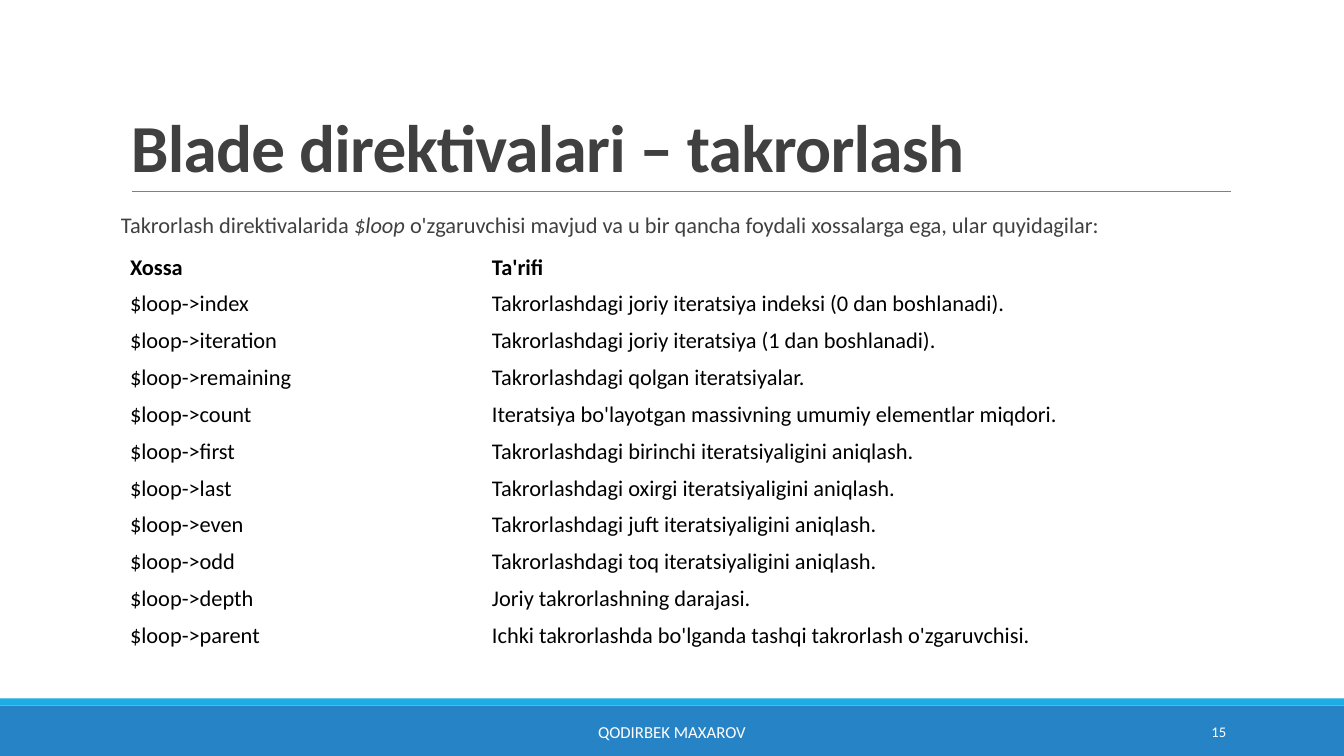
from lxml.etree import SubElement
from pptx import Presentation
from pptx.dml.color import RGBColor
from pptx.enum.shapes import MSO_CONNECTOR, MSO_SHAPE
from pptx.enum.text import MSO_ANCHOR, PP_ALIGN
from pptx.oxml.ns import qn
from pptx.util import Inches, Pt

BLUE = RGBColor(0x26, 0x83, 0xC6)
CYAN = RGBColor(0x1C, 0xAD, 0xE4)
GRAY = RGBColor(0x80, 0x80, 0x80)
DARK = RGBColor(0x40, 0x40, 0x40)
BLACK = RGBColor(0, 0, 0)
WHITE = RGBColor(0xFF, 0xFF, 0xFF)
FONT = "Calibri"

LOOP_PROPERTIES = [
    ("Xossa", "Ta'rifi"),
    ("$loop->index", "Takrorlashdagi joriy iteratsiya indeksi (0 dan boshlanadi)."),
    ("$loop->iteration", "Takrorlashdagi joriy iteratsiya (1 dan boshlanadi)."),
    ("$loop->remaining", "Takrorlashdagi qolgan iteratsiyalar."),
    ("$loop->count", "Iteratsiya bo'layotgan massivning umumiy elementlar miqdori."),
    ("$loop->first", "Takrorlashdagi birinchi iteratsiyaligini aniqlash."),
    ("$loop->last", "Takrorlashdagi oxirgi iteratsiyaligini aniqlash."),
    ("$loop->even", "Takrorlashdagi juft iteratsiyaligini aniqlash."),
    ("$loop->odd", "Takrorlashdagi toq iteratsiyaligini aniqlash."),
    ("$loop->depth", "Joriy takrorlashning darajasi."),
    ("$loop->parent", "Ichki takrorlashda bo'lganda tashqi takrorlash o'zgaruvchisi."),
]


def add_span(para, text, size=16, color=BLACK, bold=False, italic=False, tracking=None):
    span = para.add_run()
    span.text = text
    span.font.name = FONT
    span.font.size = Pt(size)
    span.font.bold = bold
    span.font.italic = italic
    span.font.color.rgb = color
    if tracking is not None:
        span.font._element.set("spc", str(int(tracking * 100)))


class SlideBuilder:
    def __init__(self, slide):
        self.slide = slide

    def band(self, top, height, color):
        band = self.slide.shapes.add_shape(
            MSO_SHAPE.RECTANGLE, 0, Inches(top), Inches(13.33), Inches(height))
        band.shadow.inherit = False
        band.fill.solid()
        band.fill.fore_color.rgb = color
        band.line.fill.background()

    def rule(self, left, right, top):
        rule = self.slide.shapes.add_connector(
            MSO_CONNECTOR.STRAIGHT, Inches(left), Inches(top), Inches(right), Inches(top))
        rule.line.color.rgb = GRAY
        rule.line.width = Pt(0.5)
        SubElement(rule._element.spPr, qn("a:effectLst"))

    def text(self, left, top, width, height, anchor=MSO_ANCHOR.MIDDLE,
             align=PP_ALIGN.LEFT, inset=0.1):
        box = self.slide.shapes.add_textbox(
            Inches(left), Inches(top), Inches(width), Inches(height))
        frame = box.text_frame
        frame.word_wrap = True
        frame.vertical_anchor = anchor
        frame.margin_left = frame.margin_right = Inches(inset)
        para = frame.paragraphs[0]
        para.alignment = align
        return para

    def table(self, left, top, widths, height, rows):
        frame = self.slide.shapes.add_table(
            len(rows), len(widths), Inches(left), Inches(top),
            Inches(sum(widths)), Inches(height))
        table = frame.table
        table.horz_banding = False
        for column, width in zip(table.columns, widths):
            column.width = Inches(width)
        for row_index, row in enumerate(rows):
            for column_index, text in enumerate(row):
                cell = table.cell(row_index, column_index)
                cell.fill.background()
                cell.vertical_anchor = MSO_ANCHOR.MIDDLE
                cell.margin_left = cell.margin_right = Inches(0.09)
                cell.margin_top = cell.margin_bottom = Inches(0.04)
                add_span(cell.text_frame.paragraphs[0], text, bold=row_index == 0)
        style = table._tbl.tblPr.find(qn("a:tableStyleId"))
        style.text = "{2D5ABB26-0587-4C30-8999-92F81FD0307C}"


def main():
    deck = Presentation()
    deck.slide_width = Inches(13.33)
    deck.slide_height = Inches(7.5)
    page = SlideBuilder(deck.slides.add_slide(deck.slide_layouts[6]))

    page.band(7, 0.5, BLUE)
    page.band(6.93, 0.07, CYAN)
    page.rule(1.31, 12.21, 1.9)

    title = page.text(1.2, 0.31, 11, 1.59, anchor=MSO_ANCHOR.BOTTOM)
    title.line_spacing = 0.85
    add_span(title, "Blade direktivalari – takrorlash",
             size=48, color=DARK, bold=True, tracking=-0.5)

    footer = page.text(4.03, 7.06, 5.27, 0.4, align=PP_ALIGN.CENTER)
    add_span(footer, "QODIRBEK MAXAROV", size=12, color=WHITE)
    number = page.text(10.83, 7.06, 1.43, 0.4, align=PP_ALIGN.RIGHT)
    add_span(number, "15", size=10.5, color=WHITE)

    intro = page.text(1.2, 2.02, 11, 5.17, anchor=MSO_ANCHOR.TOP, inset=0)
    intro.line_spacing = 1.1
    intro.space_before = Pt(12)
    intro.space_after = Pt(2)
    add_span(intro, "Takrorlash direktivalarida ", color=DARK)
    add_span(intro, "$loop ", color=DARK, italic=True)
    add_span(intro, "o'zgaruvchisi mavjud va u bir qancha foydali xossalarga ega, "
             "ular quyidagilar:", color=DARK)

    page.table(1.2, 2.47, (3.59, 6.7), 4.02, LOOP_PROPERTIES)
    deck.save("out.pptx")


if __name__ == "__main__":
    main()
